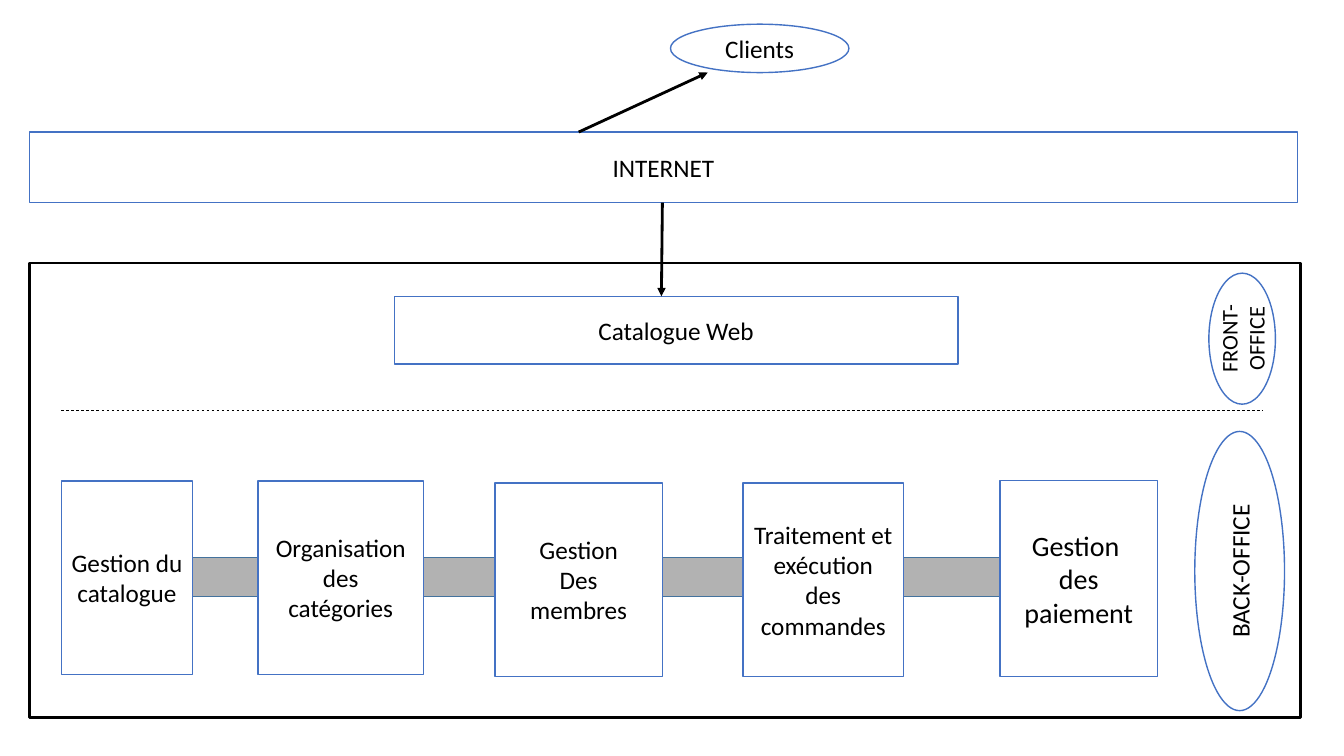
from dataclasses import dataclass

from pptx import Presentation
from pptx.dml.color import RGBColor
from pptx.enum.dml import MSO_LINE
from pptx.enum.shapes import MSO_CONNECTOR, MSO_SHAPE
from pptx.enum.text import MSO_ANCHOR, PP_ALIGN
from pptx.oxml.ns import qn
from pptx.shapes.autoshape import Shape
from pptx.slide import Slide
from pptx.util import Inches, Pt
from lxml.etree import SubElement

FONT = "Calibri"
BLACK = RGBColor(0x00, 0x00, 0x00)
WHITE = RGBColor(0xFF, 0xFF, 0xFF)
BLUE = RGBColor(0x44, 0x72, 0xC4)
DARK_BLUE = RGBColor(0x43, 0x72, 0x9D)
GREY = RGBColor(0xB2, 0xB2, 0xB2)


@dataclass
class Box:
    left: float
    top: float
    width: float
    height: float
    text: str = ""
    size: int = 18
    kind: MSO_SHAPE = MSO_SHAPE.RECTANGLE
    rotation: int = 0
    fill: RGBColor = WHITE
    line: RGBColor = BLUE
    line_width: float = 1


@dataclass
class Link:
    start: tuple[float, float]
    end: tuple[float, float]
    width: float = 2
    arrow: bool = True


def write_text(shape: Shape, text: str, *, size: int, color: RGBColor = BLACK) -> None:
    frame = shape.text_frame
    frame.word_wrap = True
    frame.vertical_anchor = MSO_ANCHOR.MIDDLE
    frame.text = text
    for paragraph in frame.paragraphs:
        paragraph.alignment = PP_ALIGN.CENTER
        for run in paragraph.runs:
            run.font.name = FONT
            run.font.size = Pt(size)
            run.font.color.rgb = color


def draw_box(slide: Slide, box: Box) -> None:
    shape = slide.shapes.add_shape(
        box.kind, Inches(box.left), Inches(box.top), Inches(box.width), Inches(box.height)
    )
    shape.shadow.inherit = False
    shape.rotation = box.rotation
    shape.fill.solid()
    shape.fill.fore_color.rgb = box.fill
    shape.line.color.rgb = box.line
    shape.line.width = Pt(box.line_width)
    if box.text:
        write_text(shape, box.text, size=box.size)


def draw_link(slide: Slide, link: Link) -> None:
    connector = slide.shapes.add_connector(
        MSO_CONNECTOR.STRAIGHT, *(Inches(value) for value in link.start + link.end)
    )
    connector.line.color.rgb = BLACK
    connector.line.width = Pt(link.width)
    if link.arrow:
        SubElement(connector.line._get_or_add_ln(), qn("a:tailEnd"), type="triangle")
    else:
        connector.line.dash_style = MSO_LINE.DASH
    SubElement(connector._element.spPr, qn("a:effectLst"))


OVAL = MSO_SHAPE.OVAL

# Clients, the shop frame and the web layers
LAYERS = [
    Box(6.65, 0.24, 1.77, 0.48, "Clients", kind=OVAL),
    Box(0.29, 2.61, 12.61, 4.51, line=BLACK, line_width=2),
    Box(0.29, 1.31, 12.58, 0.7, "INTERNET"),
    Box(3.91, 2.94, 5.59, 0.67, "Catalogue Web"),
]

# Bar that joins the back-office modules, then the modules
MODULES = [
    Box(0.61, 5.53, 10.48, 0.39, fill=GREY, line=DARK_BLUE),
    Box(0.61, 4.77, 1.3, 1.92, "Gestion du catalogue"),
    Box(2.56, 4.77, 1.64, 1.92, "Organisation des catégories"),
    Box(4.91, 4.79, 1.66, 1.92, "Gestion\nDes\nmembres"),
    Box(7.37, 4.79, 1.59, 1.92, "Traitement et exécution des commandes"),
    Box(9.92, 4.77, 1.56, 1.94, "Gestion \ndes paiement", size=20),
]

# Upright labels of the two zones
ZONES = [
    Box(11.67, 3.03, 1.3, 0.66, "FRONT-OFFICE", size=16, kind=OVAL, rotation=270),
    Box(10.91, 5.22, 2.77, 0.89, "BACK-OFFICE", kind=OVAL, rotation=270),
]

# Zone divider and arrows from the internet
LINKS = [
    Link((0.61, 4.07), (12.53, 4.07), width=0.5, arrow=False),
    Link((5.74, 1.31), (7.02, 0.72)),
    Link((6.57, 2.01), (6.56, 2.94)),
]

presentation = Presentation()
presentation.slide_width = Inches(13.33)
presentation.slide_height = Inches(7.5)
slide = presentation.slides.add_slide(presentation.slide_layouts[6])

for box in LAYERS + MODULES + ZONES:
    draw_box(slide, box)
for link in LINKS:
    draw_link(slide, link)

presentation.save("out.pptx")
